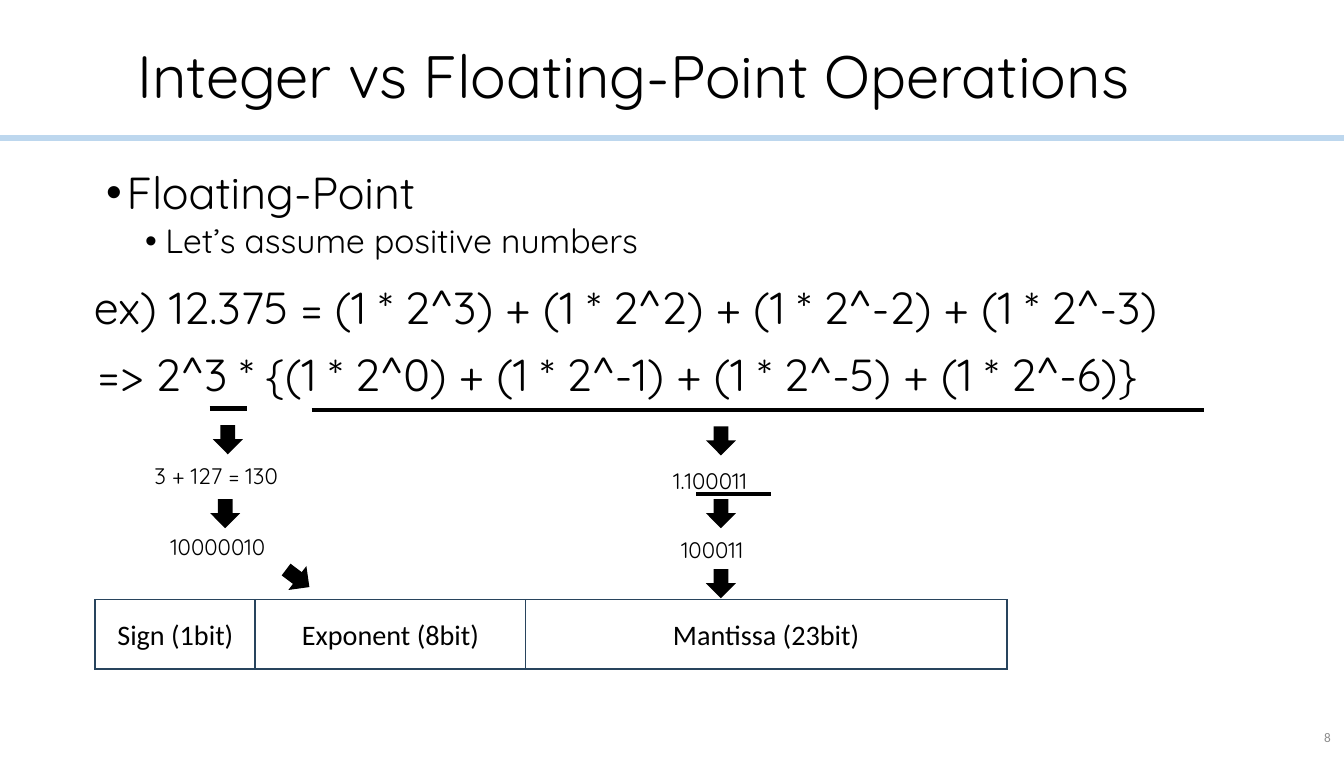
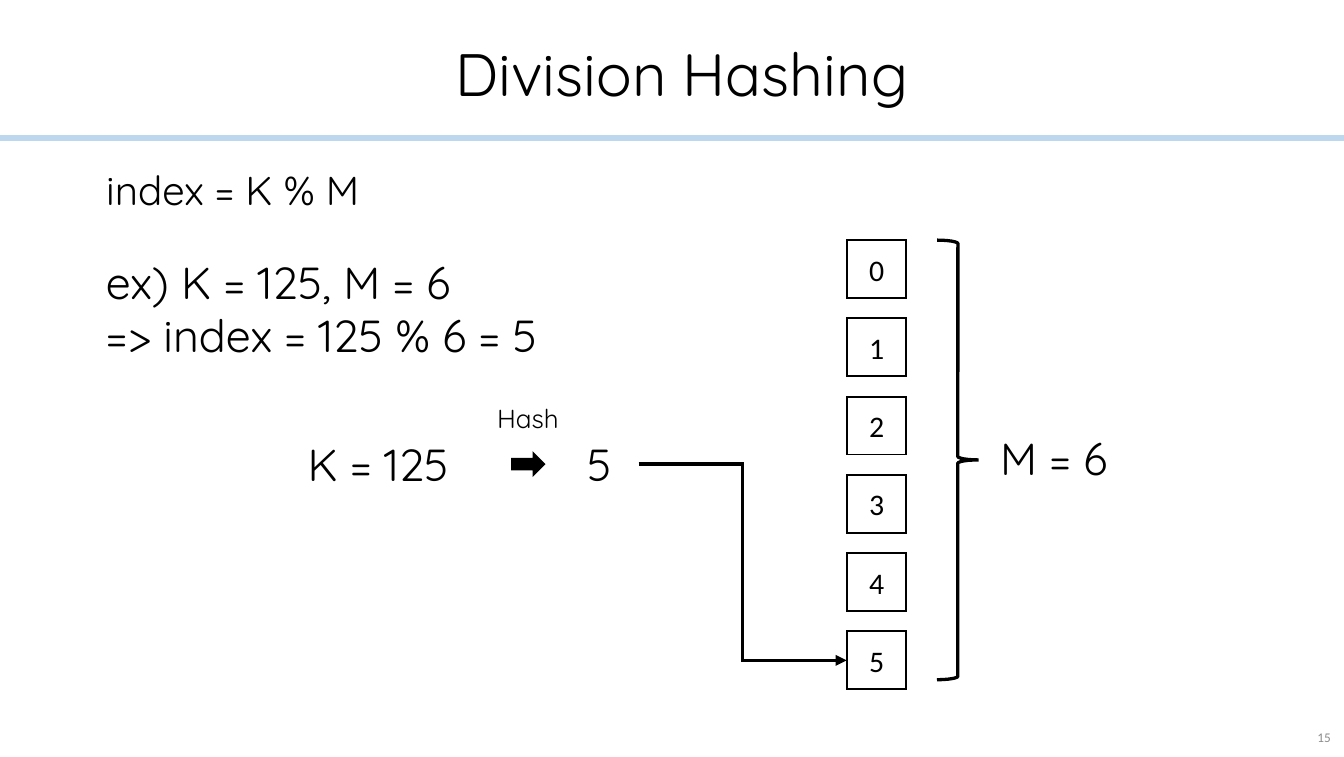
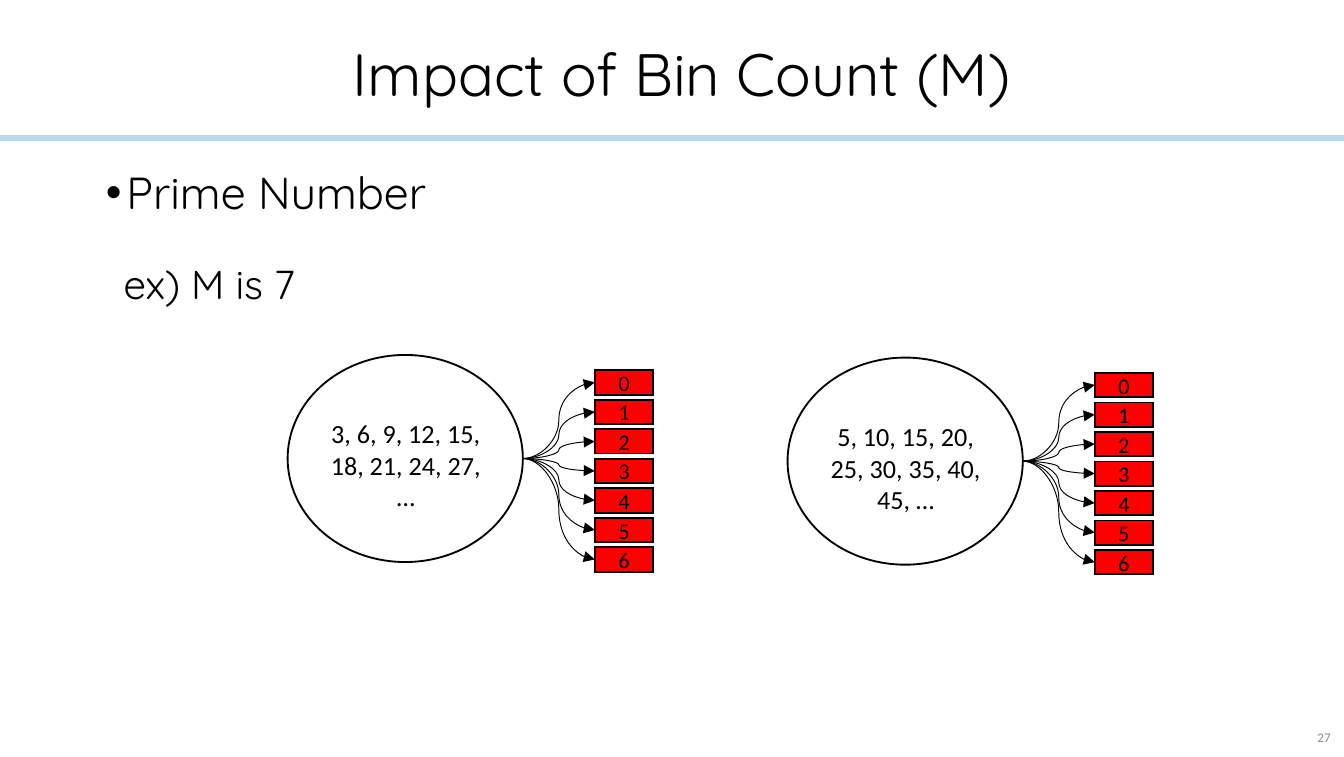
import pptx
import pptx.util
import pptx.dml.color
import pptx.enum.shapes
import pptx.enum.text
import pptx.oxml
import pptx.oxml.ns

Pt = pptx.util.Pt
KIND = pptx.enum.shapes.MSO_SHAPE
LINK = pptx.enum.shapes.MSO_CONNECTOR
ALIGN = pptx.enum.text.PP_ALIGN
ANCHOR = pptx.enum.text.MSO_ANCHOR
FIT = pptx.enum.text.MSO_AUTO_SIZE

INK, BAND, GREY, NAVY, RED = "000000", "BDD7EE", "8C8C8C", "28445D", "FF0000"
HAND, PLAIN = "Quicksand", "Calibri"
WIDE = (10.8, 20.2, 709.2, 43.2)
BODY = (49.7, 87.8, 612, 284.4)
INDENTS = ((11, -11), (31.7, -10.8))
SPACES = (5.9, 3)


def paint(target, color):
    """Give a font, a fill or a line one solid colour."""
    if hasattr(target, "solid"):
        target.solid()
        target = target.fore_color
    else:
        target = target.color
    target.rgb = pptx.dml.color.RGBColor.from_string(color)


def place(shape, box):
    shape.left, shape.top, shape.width, shape.height = map(Pt, box)


def add_tag(parent, name, **attrs):
    node = pptx.oxml.parse_xml(f"<a:{name} {pptx.oxml.ns.nsdecls('a')}/>")
    for key, value in attrs.items():
        node.set(key, value)
    parent.append(node)


def stroke(shape, color, width):
    """Style the line of a shape and return its XML element."""
    paint(shape.line, color)
    shape.line.width = Pt(width)
    edge = shape.element.spPr.find(pptx.oxml.ns.qn("a:ln"))
    add_tag(edge, "miter", lim="800000")
    return edge


def style(para, size, face=HAND, align=None, color=INK):
    para.alignment = align
    para.font.size, para.font.name = Pt(size), face
    paint(para.font, color)


def write(frame, lines, size, face=HAND, align=None, color=INK):
    frame.word_wrap = True
    frame.text = "\n".join(lines)
    for para in frame.paragraphs:
        style(para, size, face, align, color)


def write_list(frame, items):
    """Write items of (text, size, level); level None means no bullet."""
    frame.word_wrap, frame.auto_size = True, FIT.NONE
    frame.text = "\n".join(item[0] for item in items)
    for para, (_, size, level) in zip(frame.paragraphs, items):
        para.level = level or 0
        para.line_spacing = 0.9
        para.space_before = Pt(SPACES[para.level])
        props = para._p.get_or_add_pPr()
        left, hang = (0, 0) if level is None else INDENTS[level]
        props.set("marL", str(Pt(left)))
        props.set("indent", str(Pt(hang)))
        if level is None:
            add_tag(props, "buNone")
        else:
            add_tag(props, "buFont", typeface="Arial")
            add_tag(props, "buChar", char="•")
        style(para, size)


def add_text(slide, box, lines, size, **look):
    label = slide.shapes.add_textbox(*map(Pt, box))
    write(label.text_frame, lines, size, **look)
    return label


def add_form(slide, kind, box, fill=None, line=INK, width=1):
    form = slide.shapes.add_shape(kind, *map(Pt, box))
    form.shadow.inherit = False
    if fill:
        paint(form.fill, fill)
    else:
        form.fill.background()
    stroke(form, line, width)
    return form


def add_cell(slide, box, text, size, **look):
    cell = add_form(slide, KIND.RECTANGLE, box, **look)
    write(cell.text_frame, [text], size, PLAIN, ALIGN.CENTER)
    return cell


def add_link(slide, kind, start, end, width, target=None):
    """Draw a line; with a target, join its left side with an arrowhead."""
    link = slide.shapes.add_connector(kind, *map(Pt, start + end))
    edge = stroke(link, INK, width)
    if target is not None:
        link.end_connect(target, 1)
        add_tag(edge, "tailEnd", type="triangle")
    add_tag(link.element.spPr, "effectLst")


def add_slide(pres, title, number, items, head=WIDE, body=BODY):
    slide = pres.slides.add_slide(pres.slide_layouts[1])
    name, text = slide.placeholders
    place(name, head)
    frame = name.text_frame
    write(frame, [title], 32, align=ALIGN.CENTER)
    frame.auto_size, frame.vertical_anchor = FIT.NONE, ANCHOR.TOP
    frame.paragraphs[0].line_spacing = 0.9
    place(text, body)
    write_list(text.text_frame, items)
    page = add_text(slide, (695.5, 383.8, 24.5, 21.6), [str(number)], 7.1,
                    face=PLAIN, align=ALIGN.RIGHT, color=GREY)
    page.text_frame.vertical_anchor = ANCHOR.MIDDLE
    return slide


def add_band(pres, slide):
    """Draw the band under the title and move it to the slide master."""
    band = add_form(slide, KIND.RECTANGLE, (0, 72.7, 720, 2.2), BAND, BAND)
    pres.slide_master.shapes.element.append(band.element)


def add_fields(slide, left, top):
    fields = (("Sign (1bit)", 85.7), ("Exponent (8bit)", 144.7),
              ("Mantissa (23bit)", 257.8))
    for text, width in fields:
        add_cell(slide, (left, top, width, 37.4), text, 15.1, line=NAVY)
        left += width


def float_slide(pres):
    slide = add_slide(
        pres, "Integer vs Floating-Point Operations", 8,
        [("Floating-Point", 24, 0), ("Let’s assume positive numbers", 18, 1)],
        (49.7, 21.6, 579.6, 43.2), (49.7, 87.8, 660.2, 284.4))
    sums = (
        (43.2, 146.2, "ex) 12.375 = (1 * 2^3) + (1 * 2^2) + (1 * 2^-2) + (1 * 2^-3)"),
        (45.4, 182.2, "=> 2^3 * {(1 * 2^0) + (1 * 2^-1) + (1 * 2^-5) + (1 * 2^-6)}"))
    for left, top, text in sums:
        add_text(slide, (left, top, 664.6, 36), [text], 24)
    for left, right, top in ((167, 645.1, 219.4), (112.3, 132.5, 218.7),
                             (373, 413.3, 264.7)):
        add_link(slide, LINK.STRAIGHT, (left, top), (right, top), 2.25)
    steps = ((75.6, 244.1, "3 + 127 = 130"), (84.2, 282.2, "10000010"),
             (353.6, 246.8, "1.100011"), (357.8, 283.7, "100011"))
    for left, top, text in steps:
        add_text(slide, (left, top, 93.6, 21.6), [text], 12)
    add_fields(slide, 51.1, 321)
    arrows = ((115.2, 228.2, 0), (113.8, 267.8, 0), (152.6, 302.4, 307),
              (379.4, 228.8, 0), (379.4, 267.8, 0), (379.4, 305.3, 0))
    for left, top, turn in arrows:
        arrow = add_form(slide, KIND.DOWN_ARROW, (left, top, 13.7, 14.4), INK)
        arrow.rotation = turn
    return slide


def add_slots(slide, left, top):
    """Stack six slots with a brace; return the last slot."""
    for i in range(6):
        slot = add_cell(slide, (left, top + i * 41.9, 32, 31), str(i), 16)
    add_form(slide, KIND.RIGHT_BRACE, (left + 48.4, top, 22.3, 235.4), width=1.75)
    add_text(slide, (left + 75.1, top + 98.6, 128.2, 36), ["M = 6"], 24)
    return slot


def hash_slide(pres):
    slide = add_slide(pres, "Division Hashing", 15,
                      [("index = K % M", 21.6, None)])
    add_text(slide, (49.7, 132.6, 664.6, 65.5),
             ["ex) K = 125, M = 6", "=> index = 125 % 6 = 5"], 24)
    for left, top, high, text, size in ((157.7, 230.4, 36, "K = 125", 24),
                                        (259.2, 211.7, 24.5, "Hash", 14),
                                        (307.4, 230.4, 36, "5", 24)):
        add_text(slide, (left, top, 128.2, high), [text], size)
    add_form(slide, KIND.RIGHT_ARROW, (274.3, 242.8, 17.3, 11.5), INK)
    slot = add_slots(slide, 453.6, 128.6)
    add_link(slide, LINK.ELBOW, (342.2, 248.4), (453.6, 353.6), 1.75, slot)


def add_spread(slide, left, top, keys):
    """Draw a set of keys with a curved arrow to each of seven bins."""
    width, height = 126, 110.9
    add_form(slide, KIND.OVAL, (left, top, width, height))
    add_text(slide, (left + 15.1, top + 30.1, 96.5, 58.3), [keys], 14,
             face=PLAIN, align=ALIGN.CENTER)
    start = (left + width, top + height / 2)
    for i in range(7):
        box = (left + 164.6, top + 8.2 + i * 15.8, 31.2, 13)
        bin = add_cell(slide, box, str(i), 12, fill=RED)
        add_link(slide, LINK.CURVE, start, box[:2], 0.5, bin)


def prime_slide(pres):
    slide = add_slide(pres, "Impact of Bin Count (M)", 27,
                      [("ex) M is 7", 21.6, None)],
                      body=(59, 138.2, 399.6, 56.9))
    head = slide.shapes.add_textbox(*map(Pt, BODY))
    write_list(head.text_frame, [("Prime Number", 24, 0)])
    add_spread(slide, 154.1, 190.1, "3, 6, 9, 12, 15, 18, 21, 24, 27, …")
    add_spread(slide, 421.9, 191.5, "5, 10, 15, 20, 25, 30, 35, 40, 45, …")


def main():
    pres = pptx.Presentation()
    pres.slide_width, pres.slide_height = Pt(720), Pt(405.36)
    add_band(pres, float_slide(pres))
    hash_slide(pres)
    prime_slide(pres)
    pres.save("out.pptx")


if __name__ == "__main__":
    main()
